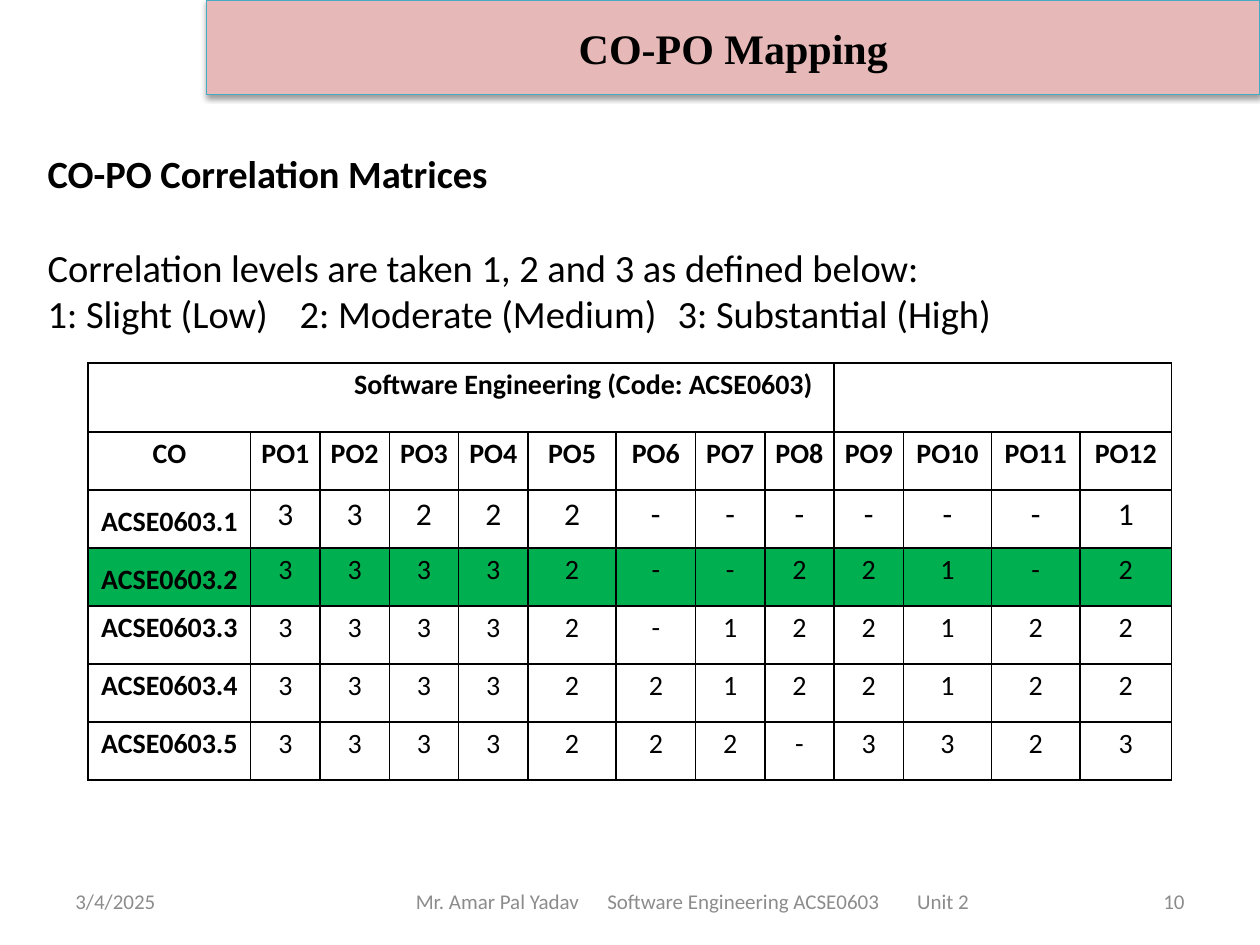
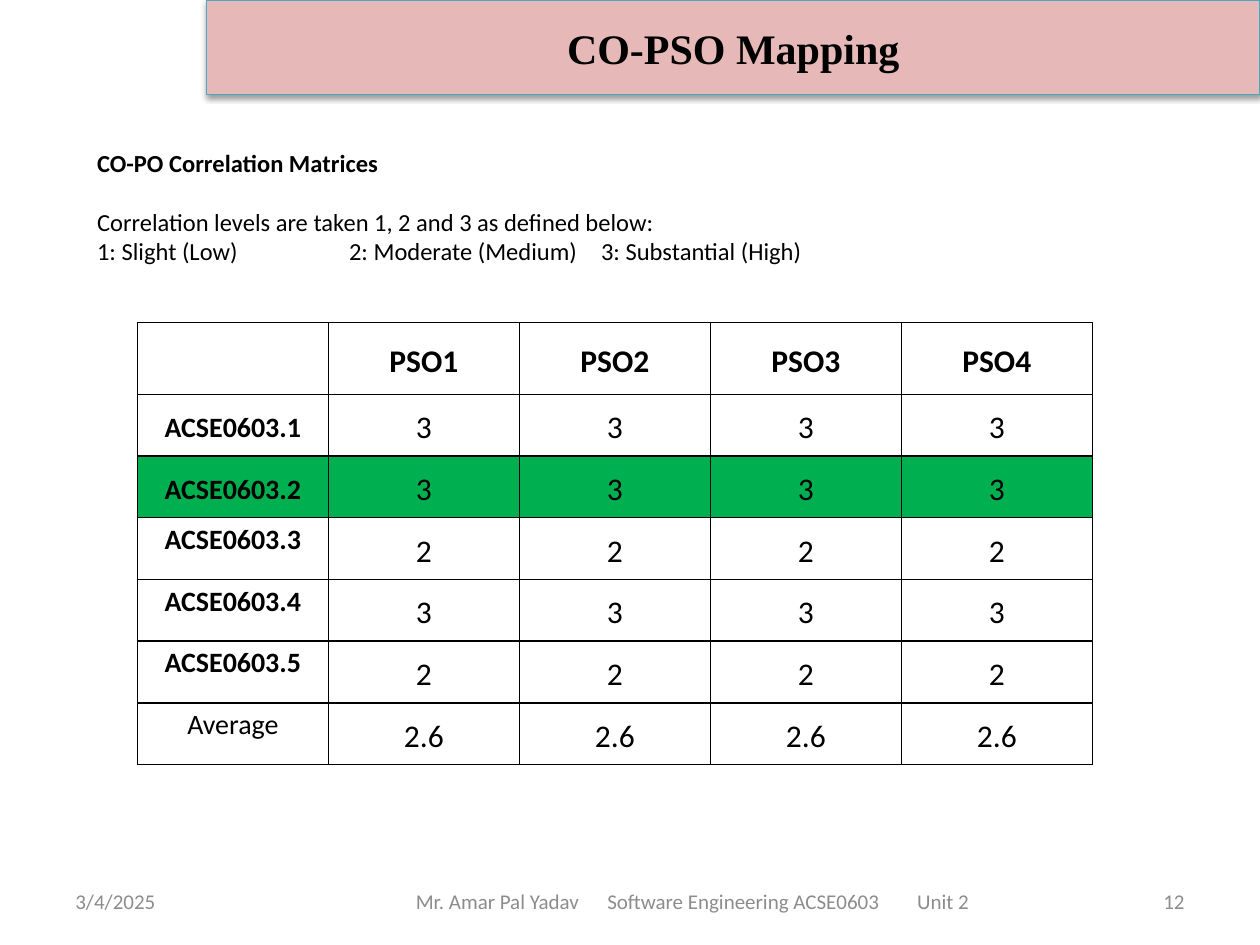
import pptx
import pptx.dml.color
import pptx.enum.shapes
import pptx.enum.text
import pptx.oxml
import pptx.oxml.ns
import pptx.util
from lxml import etree

Inches = pptx.util.Inches
Pt = pptx.util.Pt
RGBColor = pptx.dml.color.RGBColor
ALIGN = pptx.enum.text.PP_ALIGN
ANCHOR = pptx.enum.text.MSO_ANCHOR
qn = pptx.oxml.ns.qn

BLACK = RGBColor(0, 0, 0)
GREY = RGBColor(0x8C, 0x8C, 0x8C)
PINK = RGBColor(0xE6, 0xB9, 0xB8)
TEAL = RGBColor(0x46, 0xAA, 0xC5)
GREEN = RGBColor(0x00, 0xB0, 0x50)

CODES = [f"ACSE0603.{n}" for n in range(1, 6)]
ACTIVE = CODES[1]
LEVELS = "1: Slight (Low)\t2: Moderate (Medium)\t3: Substantial (High)"
GRADES = [
    "3 3 2 2 2 - - - - - - 1",
    "3 3 3 3 2 - - 2 2 1 - 2",
    "3 3 3 3 2 - 1 2 2 1 2 2",
    "3 3 3 3 2 2 1 2 2 1 2 2",
    "3 3 3 3 2 2 2 - 3 3 2 3",
]
SCORES = ["3", "3", "2", "3", "2", "2.6"]


def write(frame, text, new=False, size=16, bold=False, font="Calibri", color=BLACK,
          align=ALIGN.LEFT, before=0, after=0, line=None, tabs=()):
    para = frame.add_paragraph() if new else frame.paragraphs[0]
    para.alignment = align
    para.space_before, para.space_after = Pt(before), Pt(after)
    if line:
        para.line_spacing = line
    if tabs:
        stops = etree.SubElement(para._p.get_or_add_pPr(), qn("a:tabLst"))
        for stop in tabs:
            etree.SubElement(stops, qn("a:tab"), pos=str(Inches(stop)), algn="l")
    run = para.add_run()
    run.text = text
    run.font.size, run.font.bold, run.font.name = Pt(size), bold, font
    run.font.color.rgb = color


def add_box(slide, box, left=0.1, bottom=0.05):
    frame = slide.shapes.add_textbox(*map(Inches, box)).text_frame
    frame.word_wrap = True
    frame.vertical_anchor = ANCHOR.MIDDLE
    frame.margin_left, frame.margin_bottom = Inches(left), Inches(bottom)
    return frame


def add_band(slide, title, box=(1.64, 0, 8.36, 0.75)):
    band = slide.shapes.add_shape(pptx.enum.shapes.MSO_SHAPE.RECTANGLE, *map(Inches, box))
    band.fill.solid()
    band.fill.fore_color.rgb = PINK
    band.line.color.rgb = TEAL
    band.line.width = Pt(0.75)
    band.shadow.inherit = False
    glow = etree.SubElement(band._element.spPr.find(qn("a:effectLst")), qn("a:outerShdw"),
                            blurRad=str(Pt(3.1)), dist=str(Pt(1.6)), dir="5400000",
                            rotWithShape="0")
    tint = etree.SubElement(glow, qn("a:srgbClr"), val="000000")
    etree.SubElement(tint, qn("a:alpha"), val="38000")
    band.text_frame.vertical_anchor = ANCHOR.MIDDLE
    write(band.text_frame, title, size=24, bold=True, font="Times New Roman",
          align=ALIGN.CENTER)


def add_footer(slide, number, top=6.95, high=0.4):
    style = dict(size=12, color=GREY)
    write(add_box(slide, (0.5, top, 2.33, high)), "3/4/2025", **style)
    write(add_box(slide, (2.75, top, 5.5, high), left=0.55),
          "Mr. Amar Pal Yadav\tSoftware Engineering ACSE0603\tUnit 2",
          tabs=(1.52, 3.98), **style)
    write(add_box(slide, (7.17, top, 2.33, high)), str(number), align=ALIGN.RIGHT, **style)


def add_intro(slide, box, size, gap, tabs, **inset):
    frame = add_box(slide, box, **inset)
    write(frame, "CO-PO Correlation Matrices", size=size, bold=True)
    write(frame, "Correlation levels are taken 1, 2 and 3 as defined below:",
          new=True, size=size, before=gap)
    write(frame, LEVELS, new=True, size=size, tabs=tabs)


def add_edges(cell):
    props = cell._tc.get_or_add_tcPr()
    for spot, side in enumerate(("a:lnL", "a:lnR", "a:lnT", "a:lnB")):
        edge = etree.Element(qn(side), w=str(Pt(1)))
        fill = etree.SubElement(edge, qn("a:solidFill"))
        etree.SubElement(fill, qn("a:srgbClr"), val="000000")
        props.insert(spot, edge)


def add_grid(slide, spot, cols, rows):
    left, top = spot
    grid = slide.shapes.add_table(len(rows), len(cols), Inches(left), Inches(top),
                                  Inches(sum(cols)), Inches(sum(rows))).table
    grid.first_row = grid.horz_banding = False
    for col, wide in zip(grid.columns, cols):
        col.width = Inches(wide)
    for row, high in zip(grid.rows, rows):
        row.height = Inches(high)
    for cell in grid.iter_cells():
        cell.fill.background()
        add_edges(cell)
    return grid


def fill_cell(cell, text, middle=False, right=0.07, align=ALIGN.CENTER, **style):
    cell.margin_left, cell.margin_right = Inches(0.07), Inches(right)
    cell.margin_top = cell.margin_bottom = 0
    cell.vertical_anchor = ANCHOR.MIDDLE if middle else ANCHOR.TOP
    write(cell.text_frame, text, align=align, line=1.15, **style)


def fill_label(grid, row, text):
    fill_cell(grid.cell(row, 0), text, middle=text in CODES[:2], bold=text in CODES, after=10)
    if text == ACTIVE:
        for cell in grid.rows[row].cells:
            cell.fill.solid()
            cell.fill.fore_color.rgb = GREEN


def add_po(slide, spot):
    cols = [1.29] + [0.55] * 4 + [0.7, 0.63] + [0.55] * 3 + [0.7, 0.7, 0.73]
    grid = add_grid(slide, spot, cols, [0.55] + [0.46] * 6)
    grid.cell(0, 0).merge(grid.cell(0, 8))
    grid.cell(0, 9).merge(grid.cell(0, 12))
    fill_cell(grid.cell(0, 0), "Software Engineering (Code: ACSE0603)", right=0.17,
              align=ALIGN.RIGHT, bold=True, after=10)
    heads = ["CO"] + [f"PO{n}" for n in range(1, 13)]
    for col, head in enumerate(heads):
        fill_cell(grid.cell(1, col), head, bold=True, after=10)
    for row, (code, marks) in enumerate(zip(CODES, GRADES), 2):
        fill_label(grid, row, code)
        for col, mark in enumerate(marks.split(), 1):
            fill_cell(grid.cell(row, col), mark, size=18 if row == 2 else 16, after=10)


def add_pso(slide, spot):
    grid = add_grid(slide, spot, [7.58 / 5] * 5, [0.57] + [0.49] * 6)
    for col in range(1, 5):
        fill_cell(grid.cell(0, col), f"PSO{col}", middle=True, size=18, bold=True)
    for row, (label, score) in enumerate(zip(CODES + ["Average"], SCORES), 1):
        fill_label(grid, row, label)
        for col in range(1, 5):
            fill_cell(grid.cell(row, col), score, middle=True, size=18)


def add_page(deck, title, number):
    slide = deck.slides.add_slide(deck.slide_layouts[6])
    add_footer(slide, number)
    add_band(slide, title)
    return slide


def main():
    deck = pptx.Presentation()
    deck.slide_width, deck.slide_height = Inches(10), Inches(7.5)
    slide = add_page(deck, "CO-PO Mapping", 10)
    add_intro(slide, (0.28, 1.14, 9.14, 1.58), size=22, gap=27, tabs=(2, 5))
    add_po(slide, (0.7, 2.88))
    slide = add_page(deck, "CO-PSO Mapping", 12)
    add_intro(slide, (0.47, 1.12, 8.52, 0.99), size=14, gap=17, tabs=(2, 4),
              left=0.3, bottom=0)
    add_pso(slide, (1.09, 2.56))
    deck.save("out.pptx")


if __name__ == "__main__":
    main()
